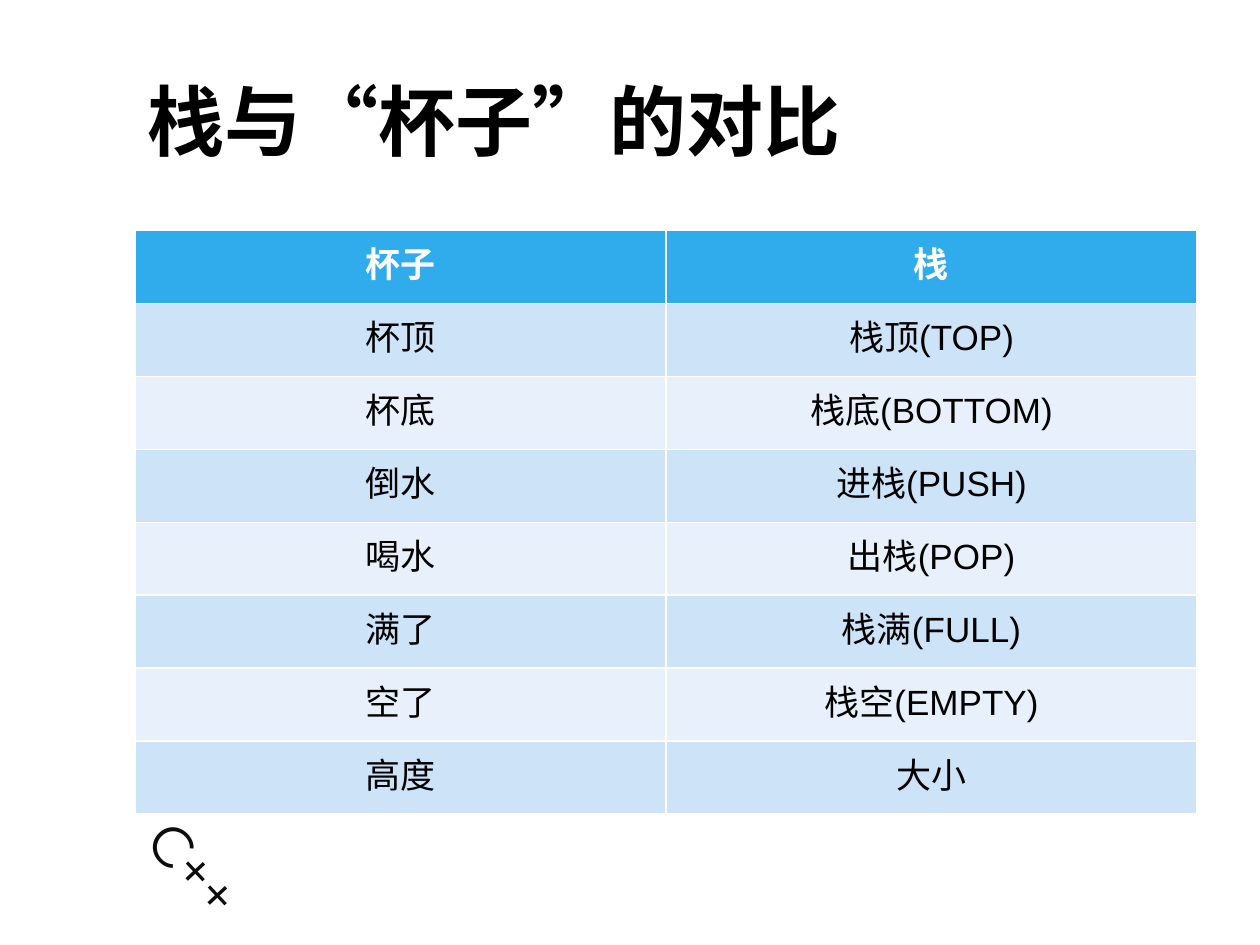
from dataclasses import dataclass

from pptx import Presentation
from pptx.dml.color import RGBColor
from pptx.enum.lang import MSO_LANGUAGE_ID as Lang
from pptx.enum.text import MSO_ANCHOR as Anchor, PP_ALIGN as Align
from pptx.util import Pt

BLACK = RGBColor(0x00, 0x00, 0x00)
INK = RGBColor(0x0D, 0x0D, 0x0D)
WHITE = RGBColor(0xFF, 0xFF, 0xFF)
HEAD = RGBColor(0x30, 0xAC, 0xEC)
BANDS = (RGBColor(0xE8, 0xF1, 0xFB), RGBColor(0xCD, 0xE3, 0xF8))

LEFT, WIDTH = 77.04, 606.96
TOP, ROW_H = 131.76, 41.67


@dataclass(frozen=True)
class Style:
    size: float
    color: RGBColor
    bold: bool = False
    font: str = "Arial"


@dataclass(frozen=True)
class Label:
    text: str
    left: float
    top: float
    width: float
    height: float
    style: Style
    anchor: Anchor = Anchor.TOP
    turn: float = 0
    wrap: bool = True


@dataclass(frozen=True)
class Pair:
    cup: str
    stack: str


LABELS = (
    Label("C++", 67.68, 488.16, 115.92, 46.08,
          Style(32, INK, font="Montserrat"), turn=46.9),
    Label("栈与“杯子”的对比", LEFT, 20.88, WIDTH, 95.04,
          Style(44, BLACK, bold=True), anchor=Anchor.MIDDLE),
)

PAIRS = (
    Pair("杯子", "栈"),
    Pair("杯顶", "栈顶(TOP)"),
    Pair("杯底", "栈底(BOTTOM)"),
    Pair("倒水", "进栈(PUSH)"),
    Pair("喝水", "出栈(POP)"),
    Pair("满了", "栈满(FULL)"),
    Pair("空了", "栈空(EMPTY)"),
    Pair("高度", "大小"),
)


def add_run(para, text: str, style: Style) -> None:
    run = para.add_run()
    run.text = text
    font = run.font
    font.name, font.size, font.bold = style.font, Pt(style.size), style.bold
    font.color.rgb = style.color
    font.language_id = Lang.SIMPLIFIED_CHINESE


def add_label(slide, label: Label) -> None:
    box = slide.shapes.add_textbox(Pt(label.left), Pt(label.top),
                                   Pt(label.width), Pt(label.height))
    box.rotation = label.turn
    frame = box.text_frame
    frame.word_wrap = label.wrap
    frame.vertical_anchor = label.anchor
    add_run(frame.paragraphs[0], label.text, label.style)


def add_pairs(slide, pairs: tuple[Pair, ...]) -> None:
    # The default table style supplies the white rules
    table = slide.shapes.add_table(len(pairs), 2, Pt(LEFT), Pt(TOP), Pt(WIDTH),
                                   Pt(ROW_H * len(pairs))).table
    for i, pair in enumerate(pairs):
        table.rows[i].height = Pt(ROW_H)
        top = i == 0
        style = Style(20, WHITE if top else BLACK, bold=top)
        for cell, text in zip(table.rows[i].cells, (pair.cup, pair.stack)):
            cell.fill.solid()
            cell.fill.fore_color.rgb = HEAD if top else BANDS[i % 2]
            para = cell.text_frame.paragraphs[0]
            para.alignment = Align.CENTER
            add_run(para, text, style)


def main() -> None:
    deck = Presentation()
    deck.slide_width, deck.slide_height = Pt(720), Pt(540)
    slide = deck.slides.add_slide(deck.slide_layouts[6])

    # Corner mark and title
    for label in LABELS:
        add_label(slide, label)

    # Comparison table
    add_pairs(slide, PAIRS)

    deck.save("out.pptx")


if __name__ == "__main__":
    main()
